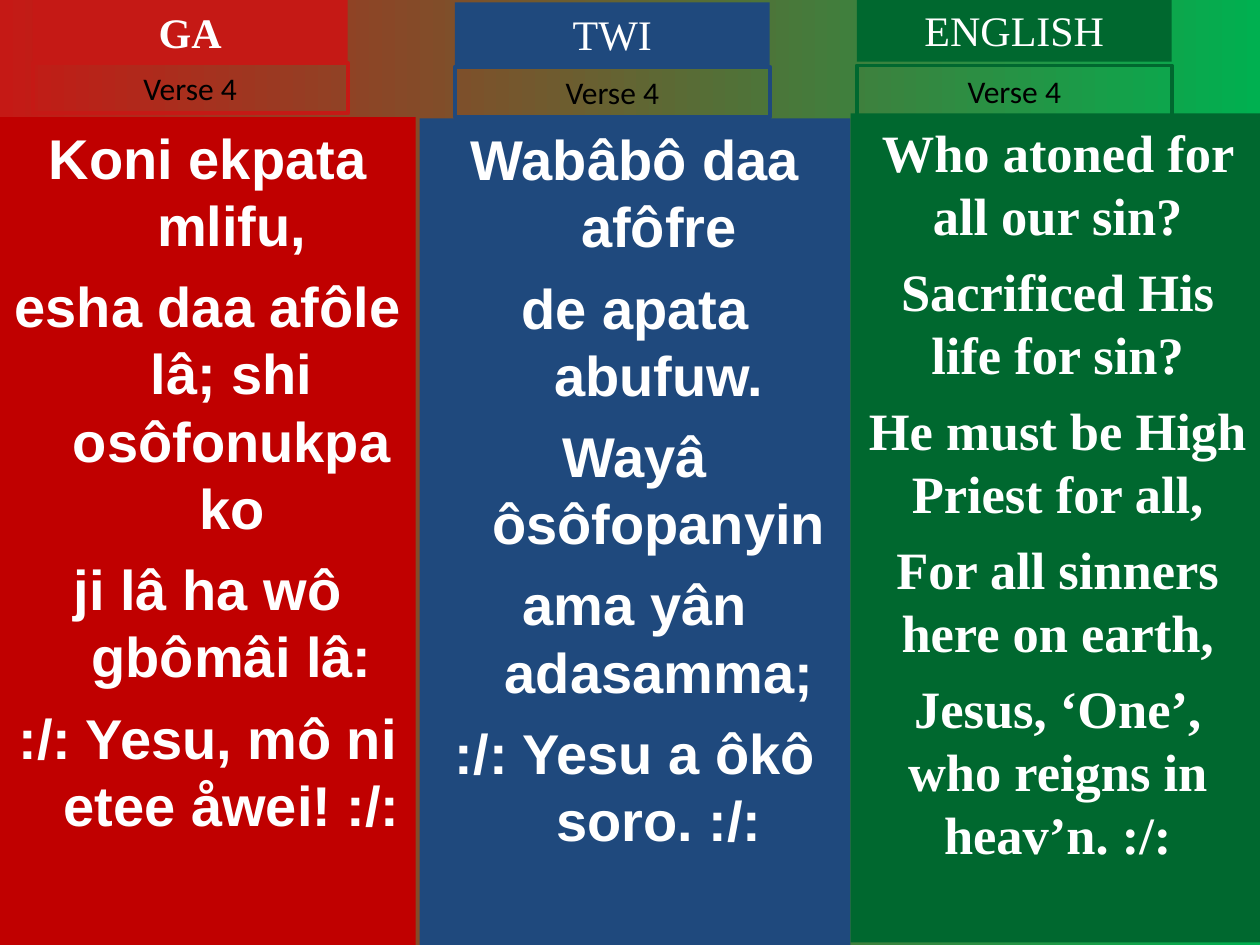
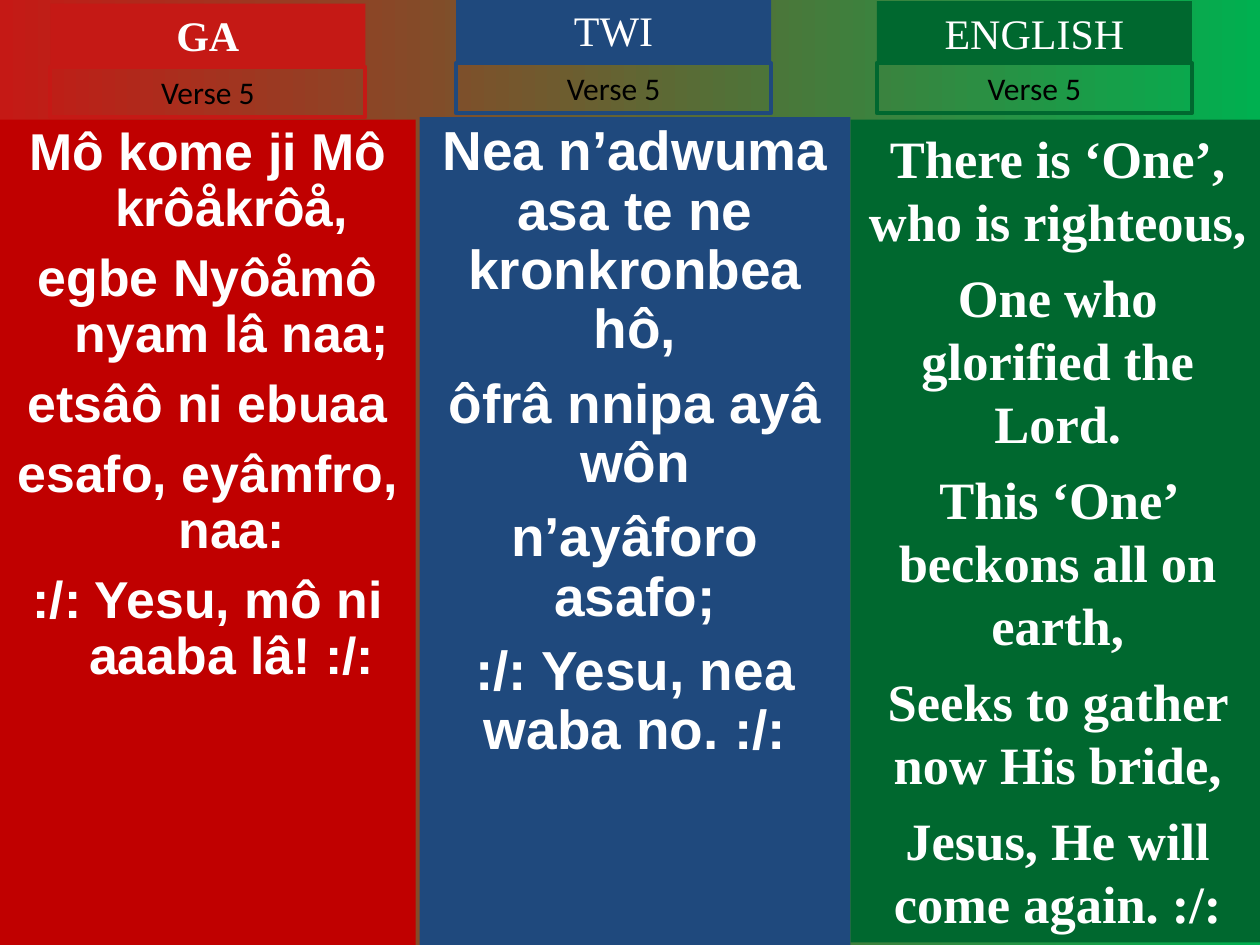
"""Build two hymn slides with each verse in Ga, Twi and English columns."""
from pptx import Presentation
from pptx.dml.color import RGBColor
from pptx.enum.shapes import MSO_SHAPE
from pptx.enum.text import MSO_ANCHOR, MSO_AUTO_SIZE, PP_ALIGN
from pptx.util import Inches, Pt

RECT = MSO_SHAPE.RECTANGLE
TOP = MSO_ANCHOR.TOP
GROW = MSO_AUTO_SIZE.SHAPE_TO_FIT_TEXT
CENTER = PP_ALIGN.CENTER

COLORS = {
    "red": "C51915", "deep_red": "C00000", "blue": "1F497D",
    "green": "00682F", "bright_green": "00B050",
    "white": "FFFFFF", "black": "000000",
}
SERIF, SANS, LABEL = "Times New Roman", "Arial", "Calibri"
TAB_W, TAB_H, VERSE_H = 2.5, 0.5, 0.4
HANG = 0.38

LANGUAGES = [
    {"name": "GA", "bold": True, "tab": "red", "panel": "deep_red",
     "font": SANS, "left": 0, "width": 3.3, "bottom": 7.5},
    {"name": "TWI", "bold": False, "tab": "blue", "panel": "blue",
     "font": SANS, "left": 3.33, "width": 3.42, "bottom": 7.5},
    {"name": "ENGLISH", "bold": False, "tab": "green", "panel": "green",
     "font": SERIF, "left": 6.75, "width": 3.29, "bottom": 7.48},
]

VERSES = [
    ("Verse 4", [
        {"top": 0.93, "tab": (0.26, 0), "verse_top": 0.5,
         "size": 32, "gap": 8, "spacing": 1, "hang": HANG,
         "lines": ["Koni ekpata mlifu,",
                   "esha daa afôle lâ; shi osôfonukpa ko",
                   "ji lâ ha wô gbômâi lâ:",
                   ":/: Yesu, mô ni etee åwei! :/:"]},
        {"top": 0.94, "tab": (3.61, 0.02), "verse_top": 0.53,
         "size": 32, "gap": 8, "spacing": 1, "hang": HANG,
         "lines": ["Wabâbô daa afôfre",
                   "de apata abufuw.",
                   "Wayâ ôsôfopanyin",
                   "ama yân adasamma;",
                   ":/: Yesu a ôkô soro. :/:"]},
        {"top": 0.9, "tab": (6.8, -0.01), "verse_top": 0.52,
         "size": 30, "gap": 7.5, "spacing": 1, "hang": 0,
         "lines": ["Who atoned for all our sin?",
                   "Sacrificed His life for sin?",
                   "He must be High Priest for all,",
                   "For all sinners here on earth,",
                   "Jesus, ‘One’, who reigns in heav’n. :/:"]},
    ]),
    ("Verse 5", [
        {"top": 0.95, "tab": (0.4, 0.03), "verse_top": 0.53,
         "size": 29.6, "gap": 8, "spacing": 0.9, "hang": HANG,
         "lines": ["Mô kome ji Mô krôåkrôå,",
                   "egbe Nyôåmô nyam lâ naa;",
                   "etsâô ni ebuaa",
                   "esafo, eyâmfro, naa:",
                   ":/: Yesu, mô ni aaaba lâ! :/:"]},
        {"top": 0.93, "tab": (3.62, -0.01), "verse_top": 0.5,
         "size": 31.4, "gap": 8.5, "spacing": 0.9, "hang": 0,
         "lines": ["Nea n’adwuma asa te ne kronkronbea hô,",
                   "ôfrâ nnipa ayâ wôn",
                   "n’ayâforo asafo;",
                   ":/: Yesu, nea waba no. :/:"]},
        {"top": 0.95, "tab": (6.96, 0.01), "verse_top": 0.5,
         "size": 30, "gap": 7.5, "spacing": 1, "hang": 0,
         "lines": ["There is ‘One’, who is righteous,",
                   "One who glorified the Lord.",
                   "This ‘One’ beckons all on earth,",
                   "Seeks to gather now His bride,",
                   "Jesus, He will come again. :/:"]},
    ]),
]


def rgb(name):
    return RGBColor.from_string(COLORS[name])


def add_box(s, box, lines, font, size, color, bold=False, fill=None, line=None):
    sp = s.shapes.add_shape(RECT, *[Inches(v) for v in box])
    sp.shadow.inherit = False
    if fill:
        sp.fill.solid()
        sp.fill.fore_color.rgb = rgb(fill)
    else:
        sp.fill.background()
    if line:
        sp.line.color.rgb = rgb(line)
        sp.line.width = Pt(2.25)
    else:
        sp.line.fill.background()
    tf = sp.text_frame
    tf.word_wrap = True
    tf.vertical_anchor = TOP
    tf.text = "\n".join(lines)
    for p in tf.paragraphs:
        p.alignment = CENTER
        p.font.name = font
        p.font.size = Pt(size)
        p.font.bold = bold
        p.font.color.rgb = rgb(color)
    return tf


prs = Presentation()
prs.slide_width, prs.slide_height = Inches(10), Inches(7.5)
blank = prs.slide_layouts[6]

for verse, columns in VERSES:
    s = prs.slides.add_slide(blank)
    bg = s.background.fill
    bg.gradient()
    bg.gradient_angle = 0
    for stop, name in zip(bg.gradient_stops, ("red", "bright_green")):
        stop.color.rgb = rgb(name)

    for lang, col in zip(LANGUAGES, columns):
        panel = (lang["left"], col["top"], lang["width"], lang["bottom"] - col["top"])
        tf = add_box(s, panel, col["lines"], lang["font"], col["size"],
                     "white", bold=True, fill=lang["panel"])
        for i, p in enumerate(tf.paragraphs):
            p.line_spacing = col["spacing"]
            p.space_before = Pt(col["gap"] if i else 0)
            if col["hang"]:
                pPr = p._p.get_or_add_pPr()
                pPr.set("marL", str(Inches(col["hang"])))
                pPr.set("indent", str(-Inches(col["hang"])))

        x, y = col["tab"]
        tf = add_box(s, (x, y, TAB_W, TAB_H), [lang["name"]], SERIF, 24,
                     "white", bold=lang["bold"], fill=lang["tab"])
        tf.auto_size = GROW
        tf = add_box(s, (x, col["verse_top"], TAB_W, VERSE_H), [verse], LABEL, 18,
                     "black", line=lang["tab"])
        tf.auto_size = GROW

prs.save("out.pptx")
